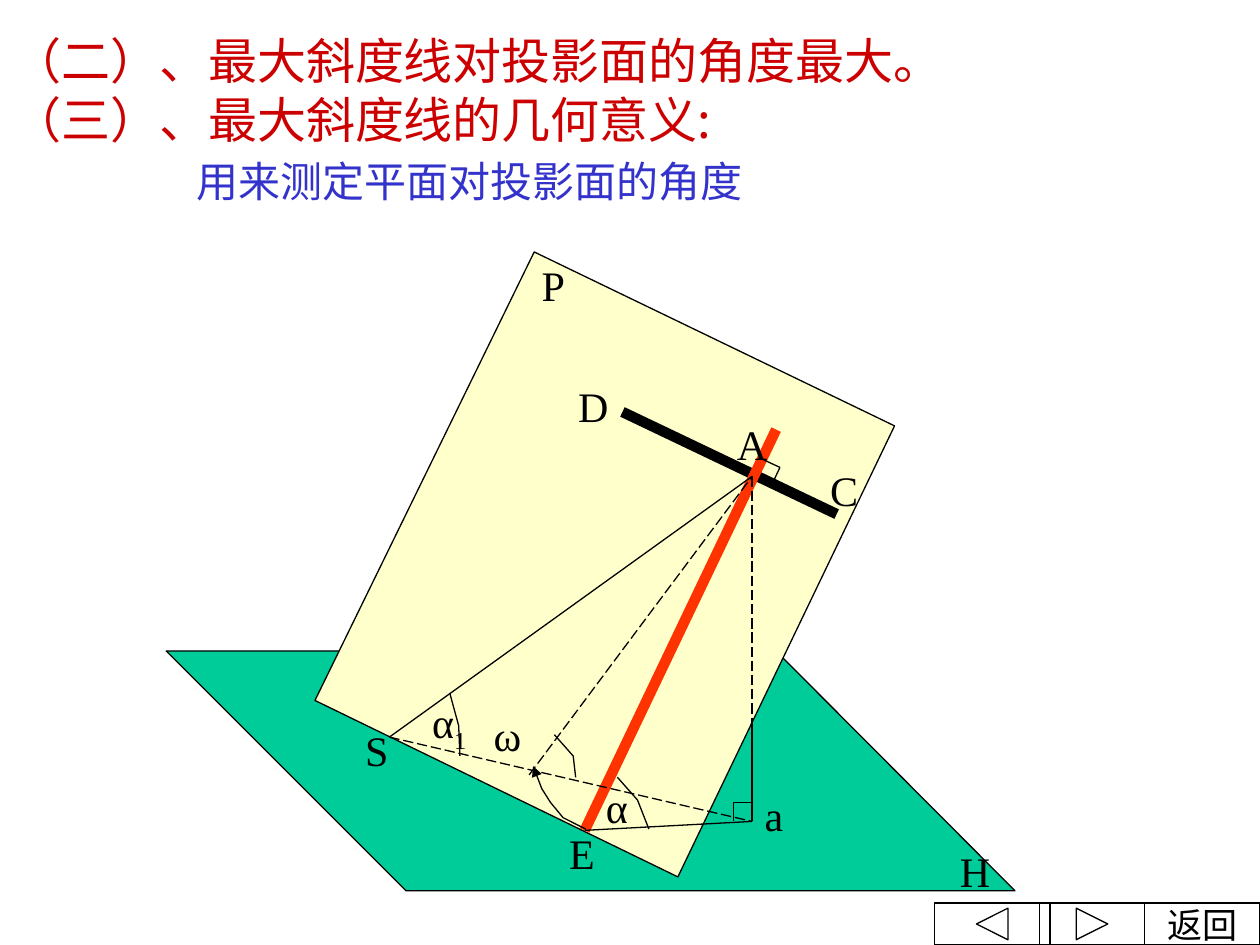
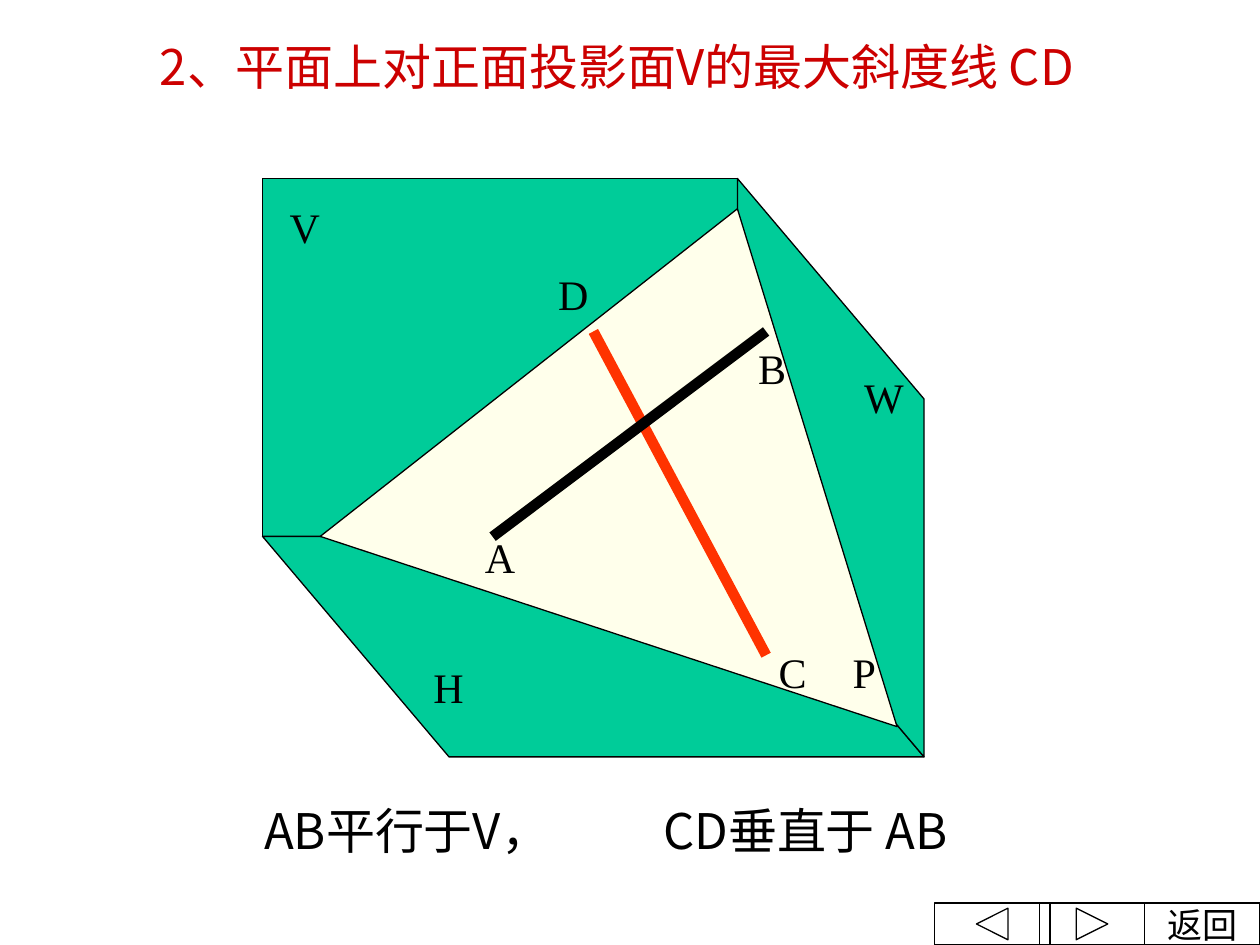
from dataclasses import dataclass

from lxml import etree
from pptx import Presentation
from pptx.dml.color import RGBColor
from pptx.enum.dml import MSO_LINE
from pptx.enum.shapes import MSO_CONNECTOR, MSO_SHAPE
from pptx.enum.text import MSO_ANCHOR, MSO_AUTO_SIZE, PP_ALIGN
from pptx.oxml.ns import qn
from pptx.slide import Slide
from pptx.util import Pt

STRAIGHT = MSO_CONNECTOR.STRAIGHT
LONG_DASH = MSO_LINE.LONG_DASH
RECTANGLE = MSO_SHAPE.RECTANGLE
BUTTON_RETURN = MSO_SHAPE.ACTION_BUTTON_CUSTOM
BUTTON_PREVIOUS = MSO_SHAPE.ACTION_BUTTON_BACK_OR_PREVIOUS
BUTTON_NEXT = MSO_SHAPE.ACTION_BUTTON_FORWARD_OR_NEXT
TOP, MIDDLE = MSO_ANCHOR.TOP, MSO_ANCHOR.MIDDLE
LEFT, CENTER = PP_ALIGN.LEFT, PP_ALIGN.CENTER
NO_AUTOFIT = MSO_AUTO_SIZE.NONE

COLORS = {
    "ink": "000000",
    "title": "CC0000",
    "note": "3333CC",
    "projection": "00CC99",
    "plane": "FFFFCC",
    "triangle": "FFFFEB",
    "steepest": "FF3300",
}
LATIN, SANS_JP, SANS_SC = "Times New Roman", "Noto Sans CJK JP", "Noto Sans CJK SC"
THIN, THICK = 0.75, 6
LABEL_HEIGHT = 36


def rgb(name):
    """Return the named colour."""
    return RGBColor.from_string(COLORS[name])


def add_run(paragraph, text, size, font=LATIN, color="ink", east_asian=None):
    """Append one formatted run and return it."""
    run = paragraph.add_run()
    run.text = text
    run.font.size = Pt(size)
    run.font.bold = False
    run.font.color.rgb = rgb(color)
    run.font.name = font
    etree.SubElement(run.font._element, qn("a:ea"), typeface=east_asian or font)
    return run


def style_shape(shape, fill=None):
    """Give a shape a thin black outline, an optional fill and no shadow."""
    shape.shadow.inherit = False
    if fill:
        shape.fill.solid()
        shape.fill.fore_color.rgb = rgb(fill)
    else:
        shape.fill.background()
    shape.line.color.rgb = rgb("ink")
    shape.line.width = Pt(THIN)


@dataclass
class Figure:
    """A drawing area whose parts are placed relative to its top left corner."""

    slide: Slide
    left: float
    top: float

    def outline(self, points, fill=None, closed=False):
        """Draw a polygon or an open polyline through the points."""
        corners = [(Pt(x), Pt(y)) for x, y in points]
        builder = self.slide.shapes.build_freeform(*corners[0])
        builder.add_line_segments(corners[1:], close=closed)
        shape = builder.convert_to_shape(Pt(self.left), Pt(self.top))
        style_shape(shape, fill)
        return shape

    def rectangle(self, width, height, fill):
        """Draw a rectangle from the corner of the area."""
        box = (Pt(self.left), Pt(self.top), Pt(width), Pt(height))
        style_shape(self.slide.shapes.add_shape(RECTANGLE, *box), fill)

    def line(self, start, end, width=THIN, color="ink", dash=None):
        """Draw a straight line between two points."""
        ends = [Pt(value) for x, y in (start, end)
                for value in (self.left + x, self.top + y)]
        connector = self.slide.shapes.add_connector(STRAIGHT, *ends)
        connector.line.color.rgb = rgb(color)
        connector.line.width = Pt(width)
        if dash:
            connector.line.dash_style = dash
        etree.SubElement(connector._element.spPr, qn("a:effectLst"))

    def label(self, text, x, y, width, subscript=""):
        """Write a point, plane or angle name."""
        box = self.slide.shapes.add_textbox(
            Pt(self.left + x), Pt(self.top + y), Pt(width), Pt(LABEL_HEIGHT))
        box.text_frame.word_wrap = not subscript
        paragraph = box.text_frame.paragraphs[0]
        add_run(paragraph, text, 24)
        if subscript:
            run = add_run(paragraph, subscript, 24)
            run.font._element.set("baseline", "-25000")


def add_title(slide, left, top, width, height, alignment, lines):
    """Place the title; each line is (runs, size, colour, indent, space before)."""
    title = slide.shapes.title
    title.left, title.top, title.width, title.height = map(Pt, (left, top, width, height))
    frame = title.text_frame
    frame.word_wrap = True
    frame.auto_size = NO_AUTOFIT
    frame.vertical_anchor = TOP
    for index, (runs, size, color, indent, space) in enumerate(lines):
        paragraph = frame.add_paragraph() if index else frame.paragraphs[0]
        paragraph.alignment = alignment
        paragraph.space_before = Pt(space)
        paragraph._p.get_or_add_pPr().set("marL", str(Pt(indent)))
        for text, font in runs:
            add_run(paragraph, text, size, font, color)


def add_statement(slide, left, top, width, height):
    """Write the two conditions, the second one at a tab stop."""
    box = slide.shapes.add_textbox(Pt(left), Pt(top), Pt(width), Pt(height))
    box.text_frame.word_wrap = True
    box.text_frame.margin_left = Pt(99)
    paragraph = box.text_frame.paragraphs[0]
    tabs = etree.SubElement(paragraph._p.get_or_add_pPr(), qn("a:tabLst"))
    etree.SubElement(tabs, qn("a:tab"), pos=str(Pt(228)), algn="l")
    add_run(paragraph, "AB平行于V，\tCD垂直于 AB", 28, SANS_JP)


def add_navigation(slide, left, top, height):
    """Draw the return, previous and next buttons."""
    buttons = ((BUTTON_RETURN, 120, 66, "返回"),
               (BUTTON_PREVIOUS, 0, 66, ""),
               (BUTTON_NEXT, 60, 60, ""))
    for kind, offset, width, text in buttons:
        button = slide.shapes.add_shape(
            kind, Pt(left + offset), Pt(top), Pt(width), Pt(height))
        style_shape(button)
        if text:
            button.text_frame.word_wrap = False
            button.text_frame.vertical_anchor = MIDDLE
            paragraph = button.text_frame.paragraphs[0]
            paragraph.alignment = CENTER
            add_run(paragraph, text, 20, east_asian=SANS_SC)


def draw_slope_angle(slide, left, top):
    """Draw plane P standing on H with its steepest line AE."""
    figure = Figure(slide, left, top)
    point_a, foot, point_e, point_s = (334.8, 128.2), (334.8, 325.4), (239.1, 330.5), (127.5, 277.2)
    hidden_end = (334.8, 266.4)
    figure.outline([(0, 228), (137, 365), (485, 365), (348.5, 228)], "projection", True)
    figure.outline([(85, 256.3), (292.4, 357.1), (416.2, 99.4), (210.3, 0)], "plane", True)
    figure.line((260.7, 91.4), (383.1, 149.8), THICK)
    figure.line(point_e, (348.5, 101.5), THICK, "steepest")

    for start, end in ((foot, point_e), (hidden_end, foot), (point_a, point_s)):
        figure.line(start, end)
    for start, end in ((point_a, hidden_end), ((207.4, 298.8), point_a), (point_s, foot)):
        figure.line(start, end, dash=LONG_DASH)
    right_angles = (((339.9, 118.1), (350.7, 123.1), (345.6, 133.9)),
                    ((334.8, 314.6), (324, 314.6), (324, 325.4)))
    for start, corner, end in right_angles:
        figure.line(start, corner)
        figure.line(corner, end)

    angle_arcs = (((257.8, 300.2), (269.3, 313.2), (275.8, 329.8)),
                  ((221.8, 275.8), (232.6, 288), (234, 300.2)),
                  ((162, 252), (167.1, 270.7), (167.8, 288)))
    for arc in angle_arcs:
        figure.outline(arc)
    swing = figure.outline([(239.8, 329.8), (226.8, 323.3), (219.6, 314.6),
                            (214.6, 306.7), (209.6, 293.8)])
    etree.SubElement(swing._element.spPr.find(qn("a:ln")), qn("a:tailEnd"), type="triangle")

    labels = (("H", 446.4, 335.5, 63.4), ("P", 207.4, 0.7, 42.5), ("C", 372.3, 118.1, 42.5),
              ("D", 228.3, 69.8, 42.5), ("A", 319, 91.4, 42.5), ("E", 223.2, 325.4, 42.5),
              ("α", 244.1, 298.8, 21.6), ("a", 334.8, 303.8, 21), ("ω", 180, 257.8, 52.6),
              ("S", 106.6, 266.4, 42.5), ("α", 144.8, 250.6, 34, "1"))
    for label in labels:
        figure.label(*label)


def draw_projection_planes(slide, left, top):
    """Draw planes V, H and W cut by triangle P with lines AB and CD."""
    figure = Figure(slide, left, top)
    width, height, depth_x, depth_y = 271.4, 204.5, 106.6, 126
    far_x, far_y = width + depth_x, height + depth_y
    figure.rectangle(width, height, "projection")
    figure.outline([(0, height), (depth_x, far_y), (far_x, far_y), (width, height)],
                   "projection", True)
    figure.outline([(width, 0), (far_x, depth_y), (far_x, far_y), (width, height)],
                   "projection", True)
    figure.outline([(33, height), (width, 17.3), (362.6, 313.2)], "triangle", True)
    figure.line((287.8, 272.4), (189.1, 87.4), THICK, "steepest")
    figure.line((131.5, 204.7), (287.8, 87.4), THICK)
    labels = (("V", 8.4, 9.6, 49), ("H", 90.5, 272.4, 49), ("W", 336.7, 106.8, 33),
              ("P", 330.2, 263.8, 24), ("C", 287.8, 263.8, 65.5), ("D", 161.8, 47.8, 65.5),
              ("B", 276.2, 90.2, 65.5), ("A", 120, 198.2, 65.5))
    for label in labels:
        figure.label(*label)


def add_slide(presentation):
    """Add a title-only slide with the navigation buttons."""
    slide = presentation.slides.add_slide(presentation.slide_layouts[5])
    add_navigation(slide, 534, 516, 24)
    return slide


def main():
    """Build both slides and save the presentation."""
    presentation = Presentation()
    presentation.slide_width, presentation.slide_height = Pt(720), Pt(540)

    slide = add_slide(presentation)
    add_title(slide, 0, 14, 562, 132, LEFT, [
        ([("（二）、最大斜度线对投影面的角度最大。", SANS_JP)], 28, "title", 0, 0),
        ([("（三）、最大斜度线的几何意义:", SANS_JP)], 28, "title", 0, 0),
        ([("用来测定平面对投影面的角度", SANS_JP)], 24, "note", 105, 4),
    ])
    draw_slope_angle(slide, 95, 144)

    slide = add_slide(presentation)
    add_title(slide, 36, 17.5, 633, 54, CENTER, [
        ([("2、平面上对正面投影面", SANS_JP), ("V", SANS_SC), ("的最大斜度线 CD", SANS_JP)],
         28, "title", 0, 0),
    ])
    draw_projection_planes(slide, 150, 102)
    add_statement(slide, 52, 454, 591, 41)

    presentation.save("out.pptx")


if __name__ == "__main__":
    main()
